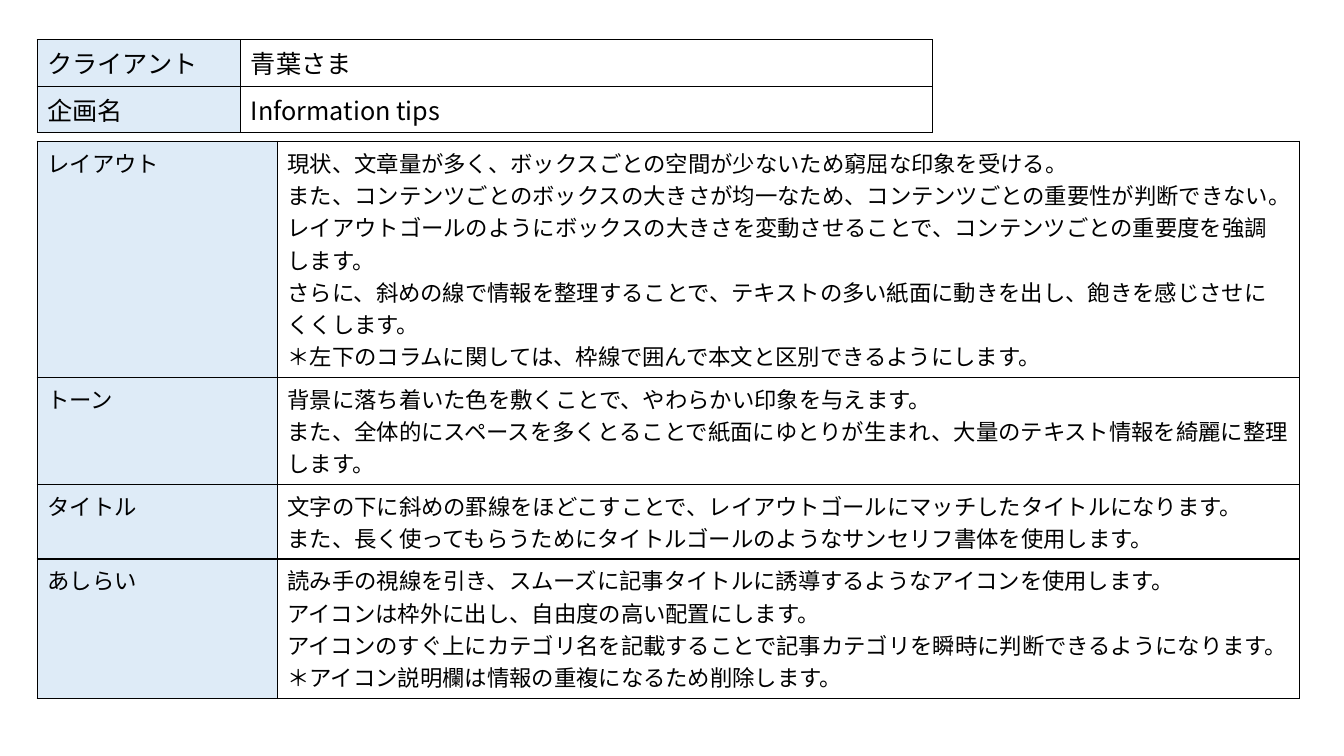
from lxml import etree
from pptx import Presentation
from pptx.dml.color import RGBColor
from pptx.enum.text import MSO_ANCHOR
from pptx.oxml.ns import qn
from pptx.util import Cm, Pt

TOP, MIDDLE = MSO_ANCHOR.TOP, MSO_ANCHOR.MIDDLE
JP_FONT, LATIN_FONT = "Noto Sans CJK JP", "Arial"
BLACK, WHITE, LABEL_BLUE = "000000", "FFFFFF", "DEEBF7"
LEFT = 0.94

PROJECT = [
    ("クライアント", ["青葉さま"]),
    ("企画名", ["Information tips"]),
]
POLICY = [
    ("レイアウト", [
        "現状、文章量が多く、ボックスごとの空間が少ないため窮屈な印象を受ける。",
        "また、コンテンツごとのボックスの大きさが均一なため、コンテンツごとの重要性が判断できない。",
        "レイアウトゴールのようにボックスの大きさを変動させることで、コンテンツごとの重要度を強調します。",
        "さらに、斜めの線で情報を整理することで、テキストの多い紙面に動きを出し、飽きを感じさせにくくします。",
        "＊左下のコラムに関しては、枠線で囲んで本文と区別できるようにします。",
    ]),
    ("トーン", [
        "背景に落ち着いた色を敷くことで、やわらかい印象を与えます。",
        "また、全体的にスペースを多くとることで紙面にゆとりが生まれ、大量のテキスト情報を綺麗に整理します。",
    ]),
    ("タイトル", [
        "文字の下に斜めの罫線をほどこすことで、レイアウトゴールにマッチしたタイトルになります。",
        "また、長く使ってもらうためにタイトルゴールのようなサンセリフ書体を使用します。",
    ]),
    ("あしらい", [
        "読み手の視線を引き、スムーズに記事タイトルに誘導するようなアイコンを使用します。",
        "アイコンは枠外に出し、自由度の高い配置にします。",
        "アイコンのすぐ上にカテゴリ名を記載することで記事カテゴリを瞬時に判断できるようになります。",
        "＊アイコン説明欄は情報の重複になるため削除します。",
    ]),
]


def color(hex_code):
    return RGBColor.from_string(hex_code)


def set_borders(cell):
    tcPr = cell._tc.get_or_add_tcPr()
    for side in ("a:lnL", "a:lnR", "a:lnT", "a:lnB"):
        ln = etree.SubElement(tcPr, qn(side), w=str(Pt(1)))
        fill = etree.SubElement(ln, qn("a:solidFill"))
        etree.SubElement(fill, qn("a:srgbClr"), val=BLACK)


def set_font(p, size, font_name):
    p.font.size = Pt(size)
    p.font.color.rgb = color(BLACK)
    p.font.name = font_name
    # East Asian typeface for the Japanese characters
    defRPr = p._p.pPr.find(qn("a:defRPr"))
    etree.SubElement(defRPr, qn("a:ea"), typeface=JP_FONT)


def fill_cell(cell, lines, size, font_name, fill, anchor):
    set_borders(cell)
    cell.fill.solid()
    cell.fill.fore_color.rgb = color(fill)
    cell.vertical_anchor = anchor
    tf = cell.text_frame
    tf.text = "\n".join(lines)
    for p in tf.paragraphs:
        set_font(p, size, font_name)


def add_label_table(slide, entries, top, widths, heights, size, body_font, body_anchor):
    frame = slide.shapes.add_table(len(entries), 2, Cm(LEFT), Cm(top),
                                   Cm(sum(widths)), Cm(sum(heights)))
    table = frame.table
    table.first_row = table.horz_banding = False
    for column, width in zip(table.columns, widths):
        column.width = Cm(width)
    for row, height, (label, lines) in zip(table.rows, heights, entries):
        row.height = Cm(height)
        label_cell, body_cell = row.cells
        fill_cell(label_cell, [label], size, JP_FONT, LABEL_BLUE, TOP)
        fill_cell(body_cell, lines, size, body_font, WHITE, body_anchor)


def main():
    prs = Presentation()
    prs.slide_width, prs.slide_height = Cm(33.87), Cm(19.05)
    slide = prs.slides.add_slide(prs.slide_layouts[6])

    # Client and project name
    add_label_table(slide, PROJECT, 1, (5.13, 17.42), (1.16, 1.16),
                    18, JP_FONT, TOP)
    # Design policy
    add_label_table(slide, POLICY, 3.56, (6.05, 25.75), (5.94, 2.7, 1.88, 3.5),
                    16, LATIN_FONT, MIDDLE)

    prs.save("out.pptx")


main()
